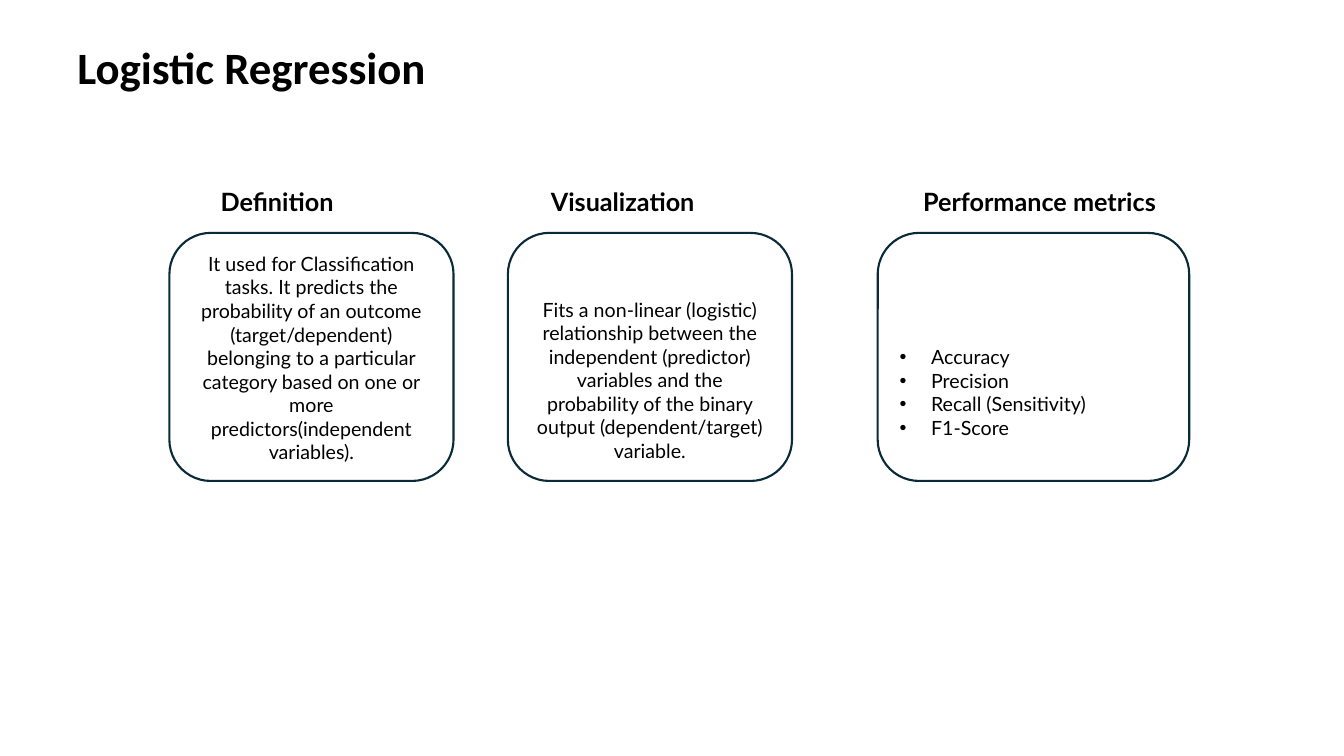
from dataclasses import dataclass

from lxml.etree import SubElement
from pptx import Presentation
from pptx.dml.color import RGBColor
from pptx.enum.shapes import MSO_SHAPE
from pptx.enum.text import MSO_ANCHOR, PP_ALIGN
from pptx.oxml.ns import qn
from pptx.util import Cm, Pt

BLACK, WHITE, NAVY = "000000", "FFFFFF", "092A39"
CARD_TOP, CARD_HEIGHT = 5.87, 6.25
HEADING_TOP, HEADING_HEIGHT = 4.57, 1.02
BULLET_INDENT = 0.79


@dataclass
class Card:
    left: float
    width: float
    lines: list[str]
    bottom_inset: float = 0.13
    bulleted: bool = False


@dataclass
class Heading:
    left: float
    width: float
    text: str
    align: PP_ALIGN = PP_ALIGN.CENTER


CARDS = [
    Card(4.27, 7.16, [
        "It used for Classification tasks. It predicts the probability of an "
        "outcome (target/dependent) belonging to a particular category based "
        "on one or more predictors(independent variables)."]),
    Card(12.8, 7.16, [
        "Fits a non-linear (logistic) relationship between the independent "
        "(predictor) variables and the probability of the binary output "
        "(dependent/target) variable."], bottom_inset=0.16),
    Card(22.12, 7.85,
         ["Accuracy", "Precision", "Recall (Sensitivity)", "F1-Score"],
         bottom_inset=0.74, bulleted=True),
]
HEADINGS = [
    Heading(5.31, 3.76, "Definition", PP_ALIGN.LEFT),
    Heading(12.8, 5.94, "Visualization "),
    Heading(22.58, 7.39, "Performance metrics "),
]


def rgb(value: str) -> RGBColor:
    return RGBColor.from_string(value)


def style(p, font: str, size: float, bold: bool = False) -> None:
    for r in p.runs:
        r.font.name = font
        r.font.size = Pt(size)
        r.font.bold = bold
        r.font.color.rgb = rgb(BLACK)


def add_bullet(p) -> None:
    pPr = p._p.get_or_add_pPr()
    pPr.set("marL", str(Cm(BULLET_INDENT)))
    pPr.set("indent", str(-Cm(BULLET_INDENT)))
    SubElement(pPr, qn("a:buFont")).set("typeface", "Arial")
    SubElement(pPr, qn("a:buChar")).set("char", "•")


def add_label(s, left: float, top: float, width: float, height: float,
              text: str, font: str, size: float, align: PP_ALIGN):
    tf = s.shapes.add_textbox(Cm(left), Cm(top), Cm(width), Cm(height)).text_frame
    tf.word_wrap = True
    tf.text = text
    p = tf.paragraphs[0]
    p.alignment = align
    style(p, font, size, bold=True)


def add_card(s, card: Card) -> None:
    sp = s.shapes.add_shape(MSO_SHAPE.ROUNDED_RECTANGLE, Cm(card.left),
                            Cm(CARD_TOP), Cm(card.width), Cm(CARD_HEIGHT))
    sp.shadow.inherit = False
    sp.fill.solid()
    sp.fill.fore_color.rgb = rgb(WHITE)
    sp.line.color.rgb = rgb(NAVY)
    sp.line.width = Pt(1.5)
    tf = sp.text_frame
    tf.word_wrap = True
    tf.vertical_anchor = MSO_ANCHOR.BOTTOM
    tf.margin_bottom = Cm(card.bottom_inset)
    tf.text = "\n".join(card.lines)
    for p in tf.paragraphs:
        p.alignment = PP_ALIGN.LEFT if card.bulleted else PP_ALIGN.CENTER
        if card.bulleted:
            add_bullet(p)
        style(p, "Lato", 14)


def main() -> None:
    prs = Presentation()
    prs.slide_width, prs.slide_height = Cm(33.87), Cm(19.05)
    s = prs.slides.add_slide(prs.slide_layouts[6])

    # Title
    add_label(s, 1.7, 0.87, 30.48, 3.05, "Logistic Regression",
              "Calibri", 32, PP_ALIGN.LEFT)

    # Cards
    for card in CARDS:
        add_card(s, card)

    # Headings above the cards
    for h in HEADINGS:
        add_label(s, h.left, HEADING_TOP, h.width, HEADING_HEIGHT,
                  h.text, "Lato", 18, h.align)

    prs.save("out.pptx")


if __name__ == "__main__":
    main()
